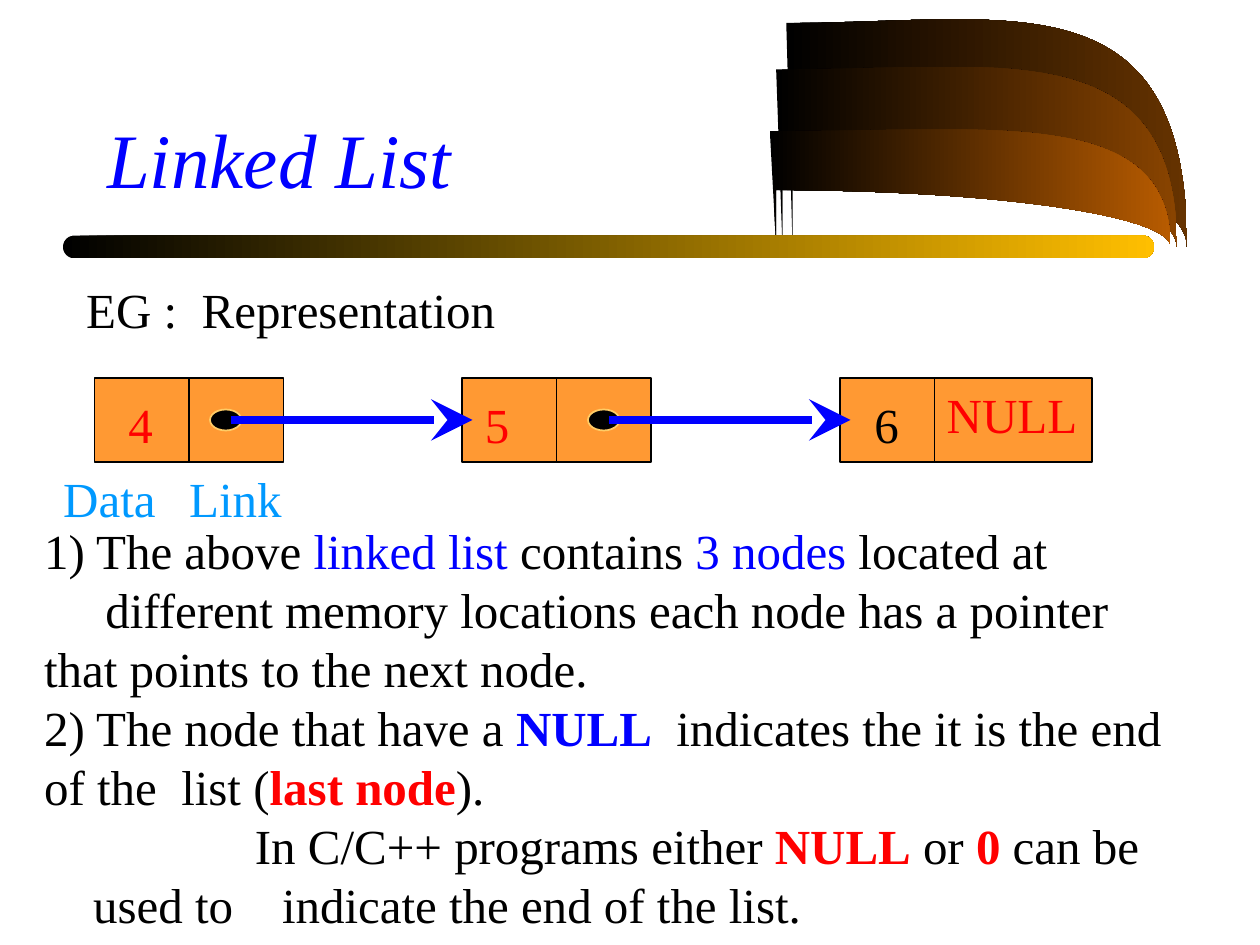
from lxml.etree import SubElement
from pptx import Presentation
from pptx.dml.color import RGBColor
from pptx.enum.shapes import MSO_CONNECTOR, MSO_SHAPE
from pptx.enum.text import MSO_ANCHOR, MSO_AUTO_SIZE, PP_ALIGN
from pptx.oxml.ns import qn
from pptx.util import Pt

THEME = dict(font="Times New Roman", title=44, body=28, leading=33.7,
             black="000000", blue="0000FF", red="FF0000", label="0099FF",
             node="FF9933", dot="FFCC66", bar="FFBF00")

TITLE = "Linked List"
# Each run: text, colour, bold
BODY = [
    dict(left=18, first=0, runs=[
        ("1) The above ", "black", False), ("linked list", "blue", False),
        (" contains ", "black", False), ("3 nodes", "blue", False),
        (" located at", "black", False)]),
    dict(left=18, first=35, runs=[
        ("different memory locations each node has a pointer "
         "that points to the next node.", "black", False)]),
    dict(left=18, first=0, runs=[
        ("2) The node that have a ", "black", False), ("NULL", "blue", True),
        ("  indicates the it is the end of the  list (", "black", False),
        ("last node", "red", True), (").", "black", False)]),
    dict(left=46, first=92.5, tab=162, runs=[
        ("In C/C++ programs either ", "black", False), ("NULL", "red", True),
        (" or ", "black", False), ("0", "red", True),
        (" can be used to\tindicate the end of the list.", "black", False)]),
]
# Text, colour, left, top, width, alignment
LABELS = [
    ("EG :  Representation", "black", 42.2, 156, 249, PP_ALIGN.LEFT),
    ("4", "red", 66, 222, 28.4, PP_ALIGN.RIGHT),
    ("5", "red", 269.8, 222, 28.4, PP_ALIGN.RIGHT),
    ("6", "black", 492.3, 222, 28.4, PP_ALIGN.RIGHT),
    ("NULL", "red", 532.6, 216, 90, PP_ALIGN.RIGHT),
    ("Data", "label", 18, 264, 78, PP_ALIGN.RIGHT),
    ("Link", "label", 54, 264, 114, PP_ALIGN.RIGHT),
]
# Left, width, left of the link dot (None for the last node)
NODES = [(54, 108, 120), (264, 108, 336), (480, 144, None)]
NODE_TOP, NODE_H, DATA_W = 216, 48, 54
# Left, top edge, bottom edge, end colour
SHEETS = [(449.3, 13, 78.5, "663300"), (443.5, 39.6, 91.4, "894400"),
          (439.9, 74.9, 108.7, "B75B00")]
SHEET_TIP, SHEET_W = 141.1, 229

prs = Presentation()
prs.slide_width, prs.slide_height = Pt(720), Pt(540)
s = prs.slides.add_slide(prs.slide_layouts[1])


def rgb(name):
    return RGBColor.from_string(THEME.get(name, name))


def place(sp, left, top, width, height):
    sp.left, sp.top, sp.width, sp.height = map(Pt, (left, top, width, height))


def add_run(p, text, color, bold=False, italic=False, size="body"):
    r = p.add_run()
    r.text = text
    r.font.name, r.font.size = THEME["font"], Pt(THEME[size])
    r.font.bold, r.font.italic = bold, italic
    r.font.color.rgb = rgb(color)


def fade(sp, color):
    """Fill from black on the left to the given colour on the right."""
    sp.shadow.inherit = False
    sp.line.fill.background()
    sp.fill.gradient()
    sp.fill.gradient_angle = 0
    for stop, name in zip(sp.fill.gradient_stops, ("black", color)):
        stop.color.rgb = rgb(name)


def add_box(kind, left, top, width, height, fill, line):
    sp = s.shapes.add_shape(kind, *map(Pt, (left, top, width, height)))
    sp.shadow.inherit = False
    sp.fill.solid()
    sp.fill.fore_color.rgb = rgb(fill)
    sp.line.color.rgb, sp.line.width = rgb(line), Pt(1)


def add_line(x1, y1, x2, y2, color, width, arrow=False):
    c = s.shapes.add_connector(MSO_CONNECTOR.STRAIGHT,
                               *map(Pt, (x1, y1, x2, y2)))
    c.line.color.rgb, c.line.width = rgb(color), Pt(width)
    if arrow:
        SubElement(c.line._get_or_add_ln(), qn("a:tailEnd"),
                   type="stealth", w="lg", len="lg")
    SubElement(c._element.spPr, qn("a:effectLst"))


def add_sheet(left, top, bottom, color):
    """Draw a curved sheet; its outline is relative to (left, bottom)."""
    drop, rise = SHEET_TIP - bottom, top - bottom
    inner, mid, bend = 3.6, 128.2, drop * 0.45
    right, low = left + SHEET_W, bottom + 2 * drop
    fb = s.shapes.build_freeform(Pt(left), Pt(bottom))
    fb.add_line_segments([(Pt(x), Pt(y)) for x, y in
                          ((right, bottom), (right, low), (left, low))])
    sp = fb.convert_to_shape()
    outline = sp._element.find(".//" + qn("a:path"))
    for child in list(outline):
        outline.remove(child)
    for tag, points in (
            ("moveTo", [(inner, 0)]),
            ("cubicBezTo", [(mid, 0), (SHEET_W, bend), (SHEET_W, drop)]),
            ("cubicBezTo", [(SHEET_W, rise - bend), (mid, rise), (inner, rise)]),
            ("lnTo", [(0, rise)]),
            ("lnTo", [(inner, drop)]),
            ("close", [])):
        step = SubElement(outline, qn("a:" + tag))
        for x, y in points:
            SubElement(step, qn("a:pt"), x=str(Pt(x)), y=str(Pt(y)))
    fade(sp, color)


for sheet in SHEETS:
    add_sheet(*sheet)
bar = s.shapes.add_shape(MSO_SHAPE.ROUNDED_RECTANGLE,
                         *map(Pt, (36, 134.6, 623.5, 13)))
bar.adjustments[0] = 0.5
fade(bar, "bar")

place(s.shapes.title, 54, 30, 612, 90)
tf = s.shapes.title.text_frame
tf.vertical_anchor, tf.auto_size = MSO_ANCHOR.BOTTOM, MSO_AUTO_SIZE.NONE
tf.paragraphs[0].alignment = PP_ALIGN.LEFT
add_run(tf.paragraphs[0], TITLE, "blue", italic=True, size="title")

for left, width, dot in NODES:
    add_box(MSO_SHAPE.RECTANGLE, left, NODE_TOP, width, NODE_H, "node", "black")
    split = left + DATA_W
    add_line(split, NODE_TOP, split, NODE_TOP + NODE_H, "black", 1)
for left, width, dot in NODES:
    if dot:
        mid = NODE_TOP + NODE_H / 2
        add_box(MSO_SHAPE.OVAL, dot, mid - 6, 18, 12, "black", "dot")
        add_line(dot + 12, mid, dot + 150, mid, "blue", 4.75, arrow=True)

for text, color, left, top, width, align in LABELS:
    tf = s.shapes.add_textbox(*map(Pt, (left, top, width, 41))).text_frame
    tf.word_wrap = color == "label"
    tf.auto_size = MSO_AUTO_SIZE.SHAPE_TO_FIT_TEXT
    p = tf.paragraphs[0]
    p.alignment, p.line_spacing = align, Pt(THEME["leading"])
    add_run(p, text, color)

body = s.placeholders[1]
place(body, 0, 294, 678, 243)
tf = body.text_frame
tf.auto_size, tf.vertical_anchor = MSO_AUTO_SIZE.NONE, MSO_ANCHOR.TOP
for i, item in enumerate(BODY):
    p = tf.add_paragraph() if i else tf.paragraphs[0]
    p.space_before, p.line_spacing = Pt(0), Pt(THEME["leading"])
    pPr = p._p.get_or_add_pPr()
    pPr.set("marL", str(Pt(item["left"])))
    pPr.set("indent", str(Pt(item["first"])))
    SubElement(pPr, qn("a:buNone"))
    if "tab" in item:
        tabs = SubElement(pPr, qn("a:tabLst"))
        SubElement(tabs, qn("a:tab"), pos=str(Pt(item["tab"])), algn="l")
    for text, color, bold in item["runs"]:
        add_run(p, text, color, bold)

prs.save("out.pptx")
